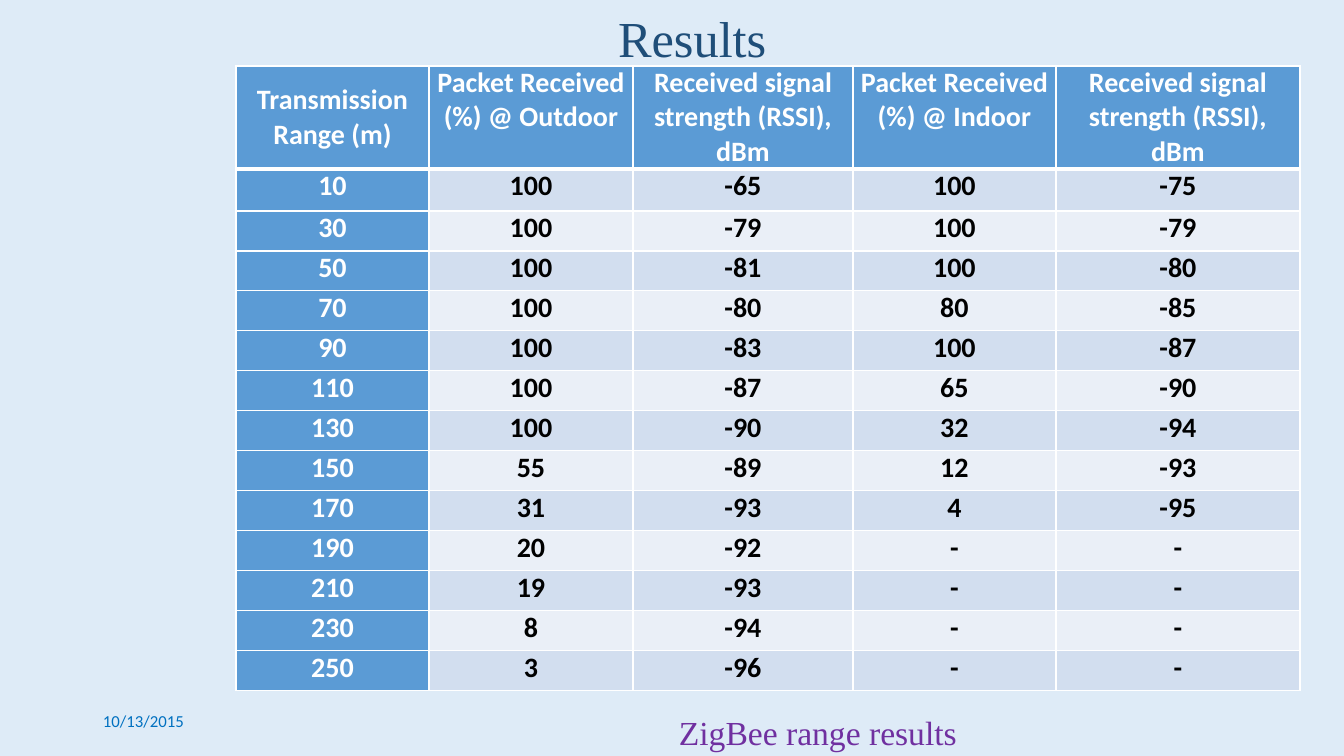
import pptx
import pptx.util
import pptx.dml.color
import pptx.enum.text
import lxml.etree

PX = 914400 / 100.8
COLORS = {
    "background": "DEEBF7", "title": "1F4E79", "header": "5B9BD5",
    "odd": "D2DEEF", "even": "EAEFF7", "white": "FFFFFF",
    "black": "000000", "caption": "7030A0", "date": "0070C0",
}
ALIGN = pptx.enum.text.PP_ALIGN
MIDDLE = pptx.enum.text.MSO_ANCHOR.MIDDLE
TOP = pptx.enum.text.MSO_ANCHOR.TOP


def px(n):
    return pptx.util.Emu(round(n * PX))


def write(tf, text, size=20, font="Calibri", color="black", bold=False,
          align=ALIGN.LEFT, spacing=1.0):
    tf.word_wrap = True
    p = tf.paragraphs[0]
    p.alignment = align
    p.line_spacing = spacing
    r = p.add_run()
    r.text = text
    r.font.size = pptx.util.Pt(size)
    r.font.name = font
    r.font.bold = bold
    r.font.color.rgb = pptx.dml.color.RGBColor.from_string(COLORS[color])


prs = pptx.Presentation()
prs.slide_width, prs.slide_height = px(1344), px(756)
s = prs.slides.add_slide(prs.slide_layouts[5])
s.background.fill.solid()
s.background.fill.fore_color.rgb = pptx.dml.color.RGBColor.from_string(COLORS["background"])

title = s.shapes.title
title.left, title.top, title.width, title.height = px(608), px(-2), px(197), px(86)
title.text_frame.vertical_anchor = MIDDLE
write(title.text_frame, "Results", size=36, font="Times New Roman", color="title", spacing=0.9)

rows = [
    ["Transmission Range (m)", "Packet Received (%) @ Outdoor",
     "Received signal strength (RSSI), dBm", "Packet Received (%) @ Indoor",
     "Received signal strength (RSSI), dBm"],
    ["10", "100", "-65", "100", "-75"],
    ["30", "100", "-79", "100", "-79"],
    ["50", "100", "-81", "100", "-80"],
    ["70", "100", "-80", "80", "-85"],
    ["90", "100", "-83", "100", "-87"],
    ["110", "100", "-87", "65", "-90"],
    ["130", "100", "-90", "32", "-94"],
    ["150", "55", "-89", "12", "-93"],
    ["170", "31", "-93", "4", "-95"],
    ["190", "20", "-92", "-", "-"],
    ["210", "19", "-93", "-", "-"],
    ["230", "8", "-94", "-", "-"],
    ["250", "3", "-96", "-", "-"],
]
widths = [193, 204, 220, 203, 244]
heights = [103, 42] + [40] * 12
table = s.shapes.add_table(len(rows), len(widths), px(236), px(66),
                           px(sum(widths)), px(sum(heights))).table
for column, width in zip(table.columns, widths):
    column.width = px(width)
for row, height in zip(table.rows, heights):
    row.height = px(height)

for i, values in enumerate(rows):
    for j, value in enumerate(values):
        cell = table.cell(i, j)
        cell.margin_left = cell.margin_right = px(7)
        cell.margin_top = cell.margin_bottom = 0
        cell.vertical_anchor = MIDDLE if i == j == 0 else TOP
        tcPr = cell._tc.get_or_add_tcPr()
        for side in "LRTB":
            thick = (i, side) in [(0, "B"), (1, "T")]
            ln = lxml.etree.SubElement(tcPr, pptx.oxml.ns.qn("a:ln" + side),
                                       w=str(pptx.util.Pt(3 if thick else 1)))
            line_fill = lxml.etree.SubElement(ln, pptx.oxml.ns.qn("a:solidFill"))
            lxml.etree.SubElement(line_fill, pptx.oxml.ns.qn("a:srgbClr"), val=COLORS["white"])
        heading = i == 0 or j == 0
        fill = "header" if heading else "odd" if i % 2 else "even"
        cell.fill.solid()
        cell.fill.fore_color.rgb = pptx.dml.color.RGBColor.from_string(COLORS[fill])
        write(cell.text_frame, value, color="white" if heading else "black",
              bold=True, align=ALIGN.CENTER)

for text, box, style in [
    ("ZigBee range results", (669, 709, 308, 47),
     dict(size=24, font="Times New Roman", color="caption")),
    ("10/13/2015", (93, 701, 302, 40), dict(size=12, color="date")),
]:
    tf = s.shapes.add_textbox(*map(px, box)).text_frame
    tf.vertical_anchor = MIDDLE
    write(tf, text, **style)

prs.save("out.pptx")
